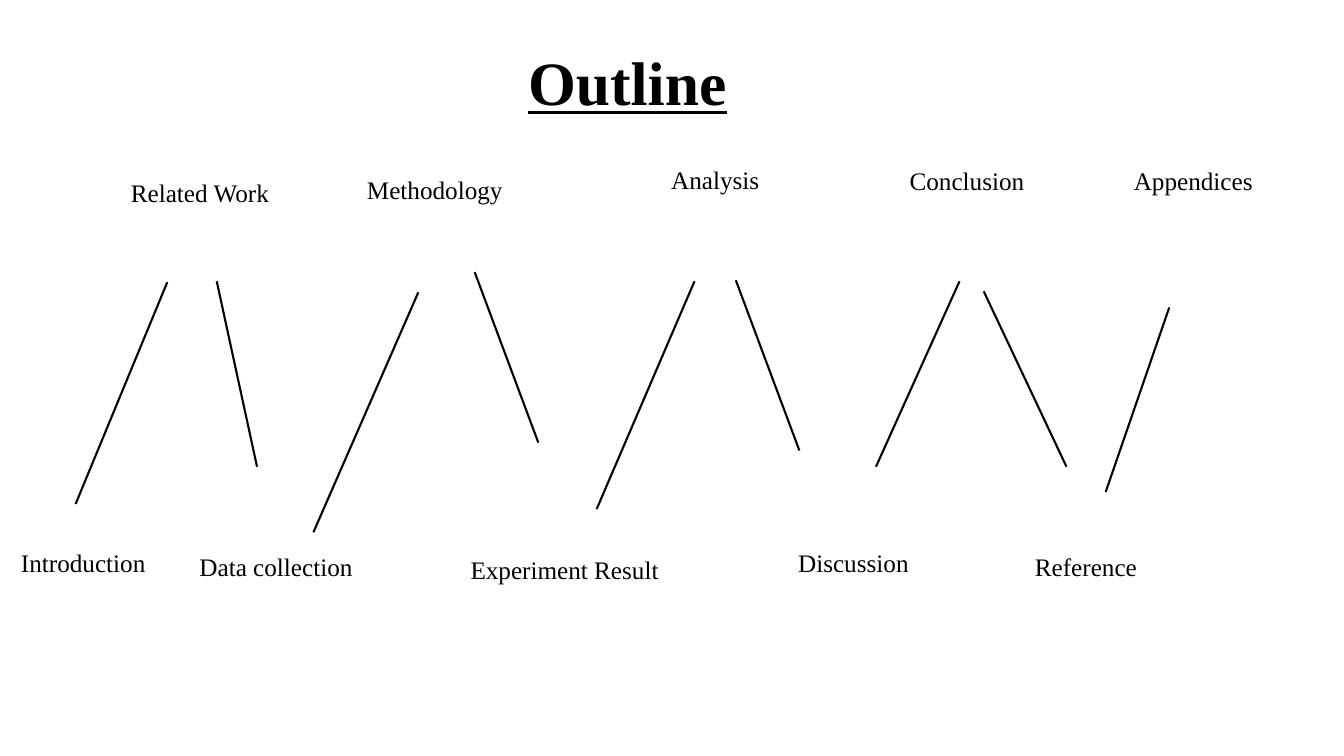
from pptx import Presentation
from pptx.dml.color import RGBColor
from pptx.enum.shapes import MSO_CONNECTOR
from pptx.enum.text import MSO_AUTO_SIZE as AutoSize
from pptx.oxml.ns import qn
from pptx.util import Pt
from lxml.etree import SubElement

BLACK = RGBColor(0, 0, 0)
FONT = "Times New Roman"
LABEL_HEIGHT = 29

# Labels: text, left, top, width
UPPER_LABELS = [
    ("Related Work", 86.4, 123.1, 152),
    ("Methodology", 255, 121, 175),
    ("Analysis", 472.3, 113.8, 84.2),
    ("Conclusion", 642.6, 114.5, 154),
    ("Appendices", 802.8, 114.5, 113),
]
LOWER_LABELS = [
    ("Introduction", 7.9, 387.4, 113.8),
    ("Data collection", 135.4, 390.2, 146.2),
    ("Experiment Result", 329, 392.4, 193.7),
    ("Discussion", 563, 387.4, 108.7),
    ("Reference", 732.2, 390.2, 103),
]

# Zigzag lines, left to right: lower end x, y, upper end x, y
ZIGZAG_LINES = [
    (54, 360, 119.5, 201.6),
    (183.6, 333.4, 154.8, 200.9),
    (223.9, 380.2, 298.8, 208.8),
    (384.5, 316.1, 339.1, 194.4),
    (426.2, 363.6, 496.1, 200.9),
    (571, 321.8, 525.6, 200.2),
    (625.7, 333.4, 685.4, 200.9),
    (761.8, 333.4, 702.7, 208.1),
    (789.8, 351.4, 835.2, 219.6),
]


def add_text(slide, text, left, top, width, height=LABEL_HEIGHT, *,
             size=18, bold=False, underline=False):
    box = slide.shapes.add_textbox(Pt(left), Pt(top), Pt(width), Pt(height))
    frame = box.text_frame
    frame.word_wrap = True
    frame.auto_size = AutoSize.SHAPE_TO_FIT_TEXT
    run = frame.paragraphs[0].add_run()
    run.text = text
    font = run.font
    font.name = FONT
    font.size = Pt(size)
    font.bold = bold
    font.underline = underline
    font.color.rgb = BLACK


def add_line(slide, *ends):
    connector = slide.shapes.add_connector(
        MSO_CONNECTOR.STRAIGHT, *(Pt(value) for value in ends))
    connector.line.color.rgb = BLACK
    connector.line.width = Pt(1.5)
    # An empty effect list removes the shadow
    SubElement(connector._element.spPr, qn("a:effectLst"))


def main():
    presentation = Presentation()
    presentation.slide_width = Pt(960)
    presentation.slide_height = Pt(540)
    slide = presentation.slides.add_slide(presentation.slide_layouts[6])

    # Title
    add_text(slide, "Outline", 370.1, 28.1, 178.6, 60.5,
             size=44, bold=True, underline=True)

    # Lines between the two rows
    for ends in ZIGZAG_LINES:
        add_line(slide, *ends)

    # Section labels
    for label in UPPER_LABELS + LOWER_LABELS:
        add_text(slide, *label)

    presentation.save("out.pptx")


if __name__ == "__main__":
    main()
